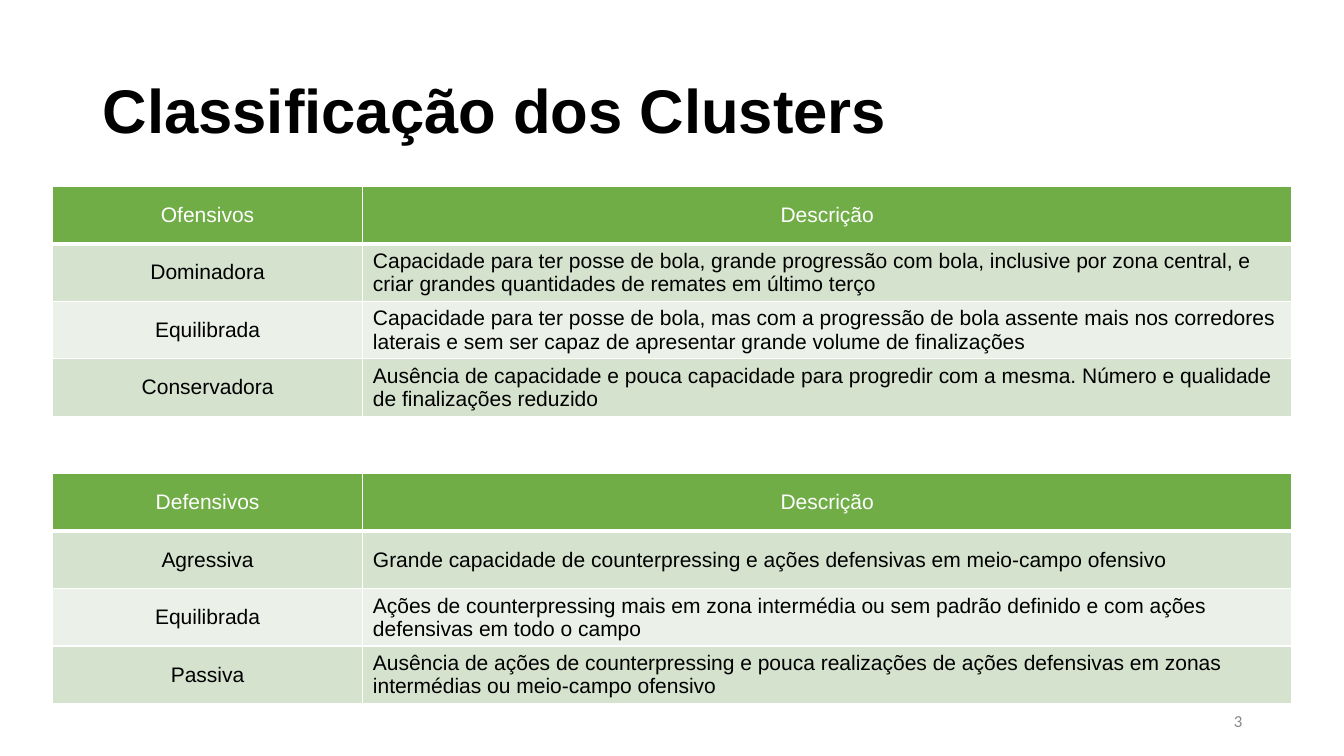
"""Build a slide with two tables describing offensive and defensive clusters."""
import dataclasses
import typing

import pptx
import pptx.dml.color
import pptx.enum.text
import pptx.oxml
import pptx.oxml.ns
import pptx.util

SLIDE_WIDTH = pptx.util.Inches(13.33)
SLIDE_HEIGHT = pptx.util.Inches(7.5)
COLORS = {
    "text": "000000",
    "header": "70AD47",
    "odd_row": "D4E2CE",
    "even_row": "EBF1E8",
    "white": "FFFFFF",
    "number": "888888",
}
ALIGN = pptx.enum.text.PP_ALIGN
MIDDLE = pptx.enum.text.MSO_ANCHOR.MIDDLE
TABLE_LEFT = 3.9
COLUMN_WIDTHS = (23.1, 69.1)
ROW_HEIGHT = 7.6


@dataclasses.dataclass(frozen=True)
class TextStyle:
    size: float
    color: str
    font: str = "Arial"
    bold: typing.Optional[bool] = None
    align: ALIGN = ALIGN.LEFT
    line_spacing: float = 1.0


@dataclasses.dataclass(frozen=True)
class Label:
    text: str
    left: float
    top: float
    width: float
    height: float
    style: TextStyle


@dataclasses.dataclass(frozen=True)
class ClusterTable:
    top: float
    rows: tuple[tuple[str, str], ...]


LABELS = (
    Label("Classificação dos Clusters", 6.9, 5.33, 86.27, 19.33,
          TextStyle(44, "text", bold=True, line_spacing=0.9)),
    Label("3", 70.67, 92.67, 22.5, 5.33,
          TextStyle(12, "number", font="Calibri", align=ALIGN.RIGHT)),
)
TABLES = (
    ClusterTable(24.67, (
        ("Ofensivos", "Descrição"),
        ("Dominadora", "Capacidade para ter posse de bola, grande progressão com bola, "
         "inclusive por zona central, e criar grandes quantidades de remates em último terço"),
        ("Equilibrada", "Capacidade para ter posse de bola, mas com a progressão de bola "
         "assente mais nos corredores laterais e sem ser capaz de apresentar grande volume "
         "de finalizações"),
        ("Conservadora", "Ausência de capacidade e pouca capacidade para progredir com a mesma. "
         "Número e qualidade de finalizações reduzido"),
    )),
    ClusterTable(62.67, (
        ("Defensivos", "Descrição"),
        ("Agressiva", "Grande capacidade de counterpressing e ações defensivas em "
         "meio-campo ofensivo"),
        ("Equilibrada", "Ações de counterpressing mais em zona intermédia ou sem padrão "
         "definido e com ações defensivas em todo o campo"),
        ("Passiva", "Ausência de ações de counterpressing e pouca realizações de ações "
         "defensivas em zonas intermédias ou meio-campo ofensivo"),
    )),
)


def across(percent: float) -> int:
    """Return a share of the slide width."""
    return int(SLIDE_WIDTH * percent / 100)


def down(percent: float) -> int:
    """Return a share of the slide height."""
    return int(SLIDE_HEIGHT * percent / 100)


def rgb(name: str) -> pptx.dml.color.RGBColor:
    """Return a named colour."""
    return pptx.dml.color.RGBColor.from_string(COLORS[name])


def write_text(text_frame: typing.Any, text: str, style: TextStyle) -> None:
    """Write one styled run into a text frame."""
    text_frame.word_wrap = True
    paragraph = text_frame.paragraphs[0]
    paragraph.alignment = style.align
    paragraph.line_spacing = style.line_spacing
    run = paragraph.add_run()
    run.text = text
    run.font.name = style.font
    run.font.size = pptx.util.Pt(style.size)
    run.font.bold = style.bold
    run.font.color.rgb = rgb(style.color)


def draw_label(slide: typing.Any, label: Label) -> None:
    """Draw a text box."""
    shape = slide.shapes.add_textbox(across(label.left), down(label.top),
                                     across(label.width), down(label.height))
    shape.text_frame.vertical_anchor = MIDDLE
    write_text(shape.text_frame, label.text, label.style)


def set_borders(cell: typing.Any, row_index: int) -> None:
    """Give a cell white borders, thicker between header and body."""
    points = {"lnL": 1, "lnR": 1, "lnT": 3 if row_index == 1 else 1,
              "lnB": 3 if row_index == 0 else 1}
    properties = cell._tc.get_or_add_tcPr()
    for position, (side, width) in enumerate(points.items()):
        properties.insert(position, pptx.oxml.parse_xml(
            f'<a:{side} {pptx.oxml.ns.nsdecls("a")} w="{pptx.util.Pt(width)}">'
            f'<a:solidFill><a:srgbClr val="{COLORS["white"]}"/></a:solidFill></a:{side}>'))


def draw_table(slide: typing.Any, cluster_table: ClusterTable) -> None:
    """Draw a cluster table with a header and banded rows."""
    row_count = len(cluster_table.rows)
    table = slide.shapes.add_table(
        row_count, len(COLUMN_WIDTHS), across(TABLE_LEFT), down(cluster_table.top),
        across(sum(COLUMN_WIDTHS)), down(ROW_HEIGHT * row_count)).table
    for column, width in zip(table.columns, COLUMN_WIDTHS):
        column.width = across(width)
    for row_index, texts in enumerate(cluster_table.rows):
        table.rows[row_index].height = down(ROW_HEIGHT)
        is_header = row_index == 0
        fill = "header" if is_header else "odd_row" if row_index % 2 else "even_row"
        for column_index, text in enumerate(texts):
            cell = table.cell(row_index, column_index)
            cell.vertical_anchor = MIDDLE
            cell.fill.solid()
            cell.fill.fore_color.rgb = rgb(fill)
            set_borders(cell, row_index)
            centered = is_header or column_index == 0
            write_text(cell.text_frame, text, TextStyle(
                15, "white" if is_header else "text", bold=None if is_header else False,
                align=ALIGN.CENTER if centered else ALIGN.LEFT))


def main() -> None:
    """Build and save the presentation."""
    presentation = pptx.Presentation()
    presentation.slide_width = SLIDE_WIDTH
    presentation.slide_height = SLIDE_HEIGHT
    slide = presentation.slides.add_slide(presentation.slide_layouts[6])
    for cluster_table in TABLES:
        draw_table(slide, cluster_table)
    for label in LABELS:
        draw_label(slide, label)
    presentation.save("out.pptx")


if __name__ == "__main__":
    main()
